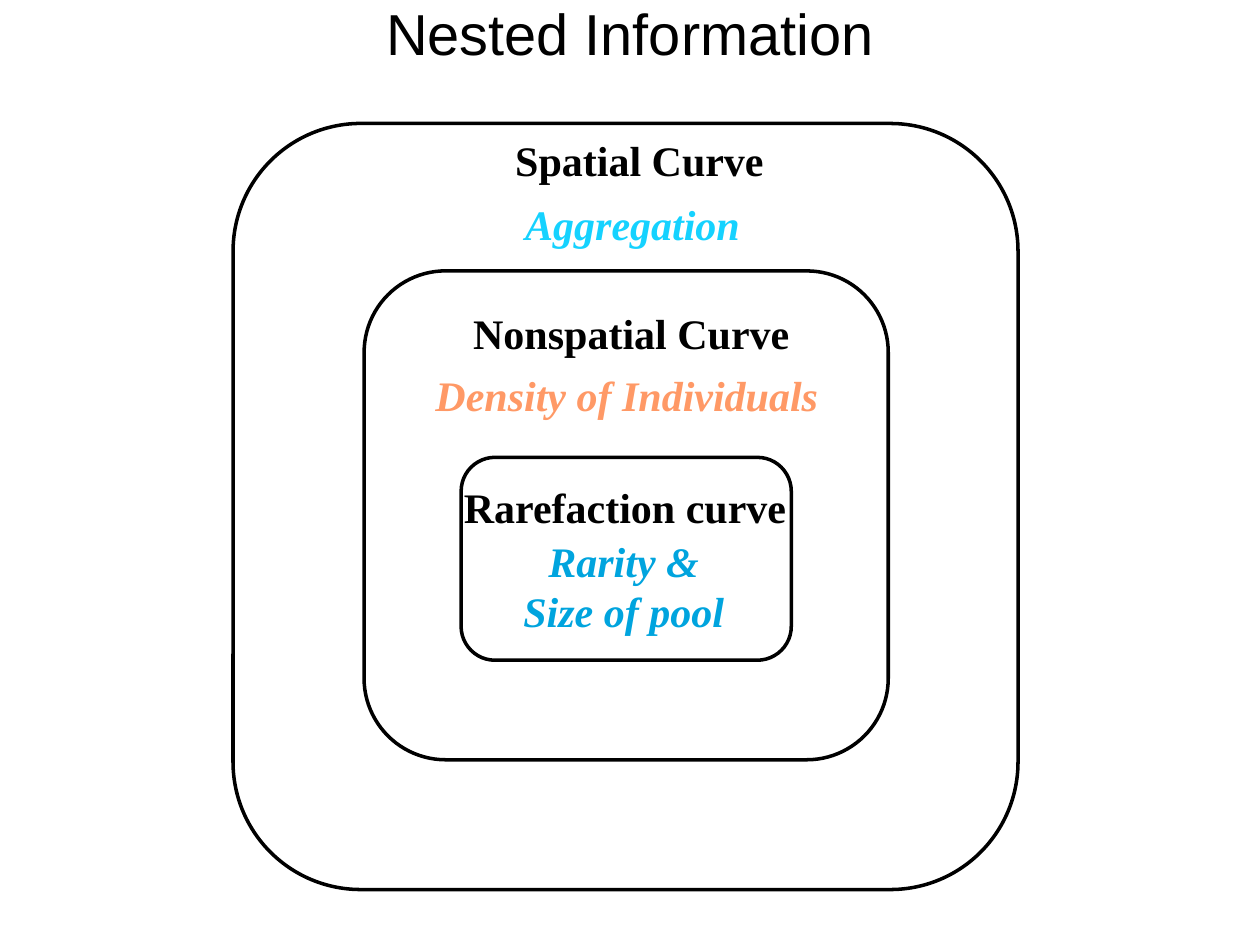
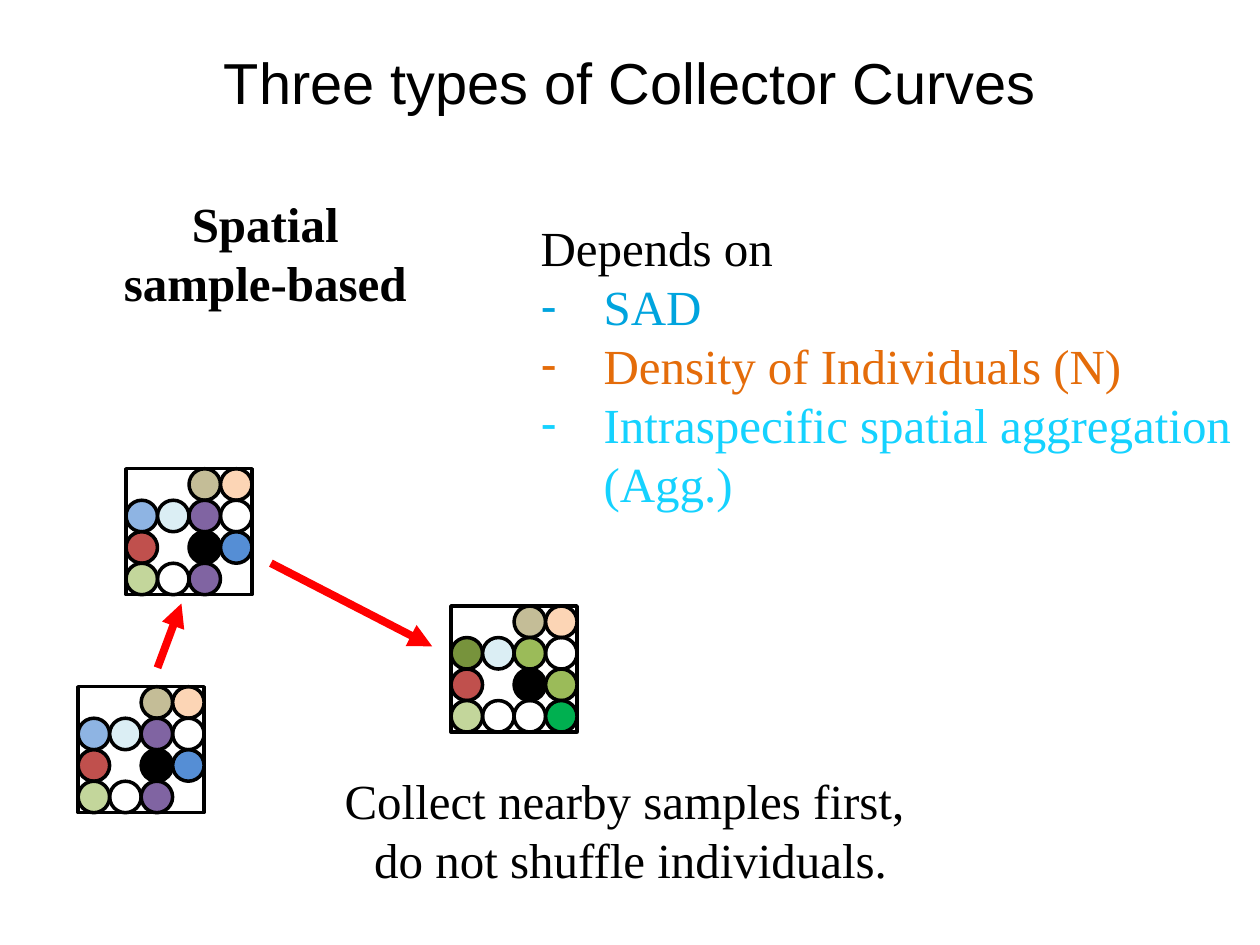
from dataclasses import dataclass

from lxml import etree
from pptx import Presentation
from pptx.dml.color import RGBColor
from pptx.enum.shapes import MSO_CONNECTOR, MSO_SHAPE
from pptx.enum.text import MSO_ANCHOR, MSO_AUTO_SIZE, PP_ALIGN
from pptx.oxml.ns import qn
from pptx.util import Inches, Pt

CENTER, LEFT = PP_ALIGN.CENTER, PP_ALIGN.LEFT
TOP, MIDDLE = MSO_ANCHOR.TOP, MSO_ANCHOR.MIDDLE
FIT_SHAPE, NO_FIT = MSO_AUTO_SIZE.SHAPE_TO_FIT_TEXT, MSO_AUTO_SIZE.NONE
ROUNDED, SQUARE, CIRCLE = MSO_SHAPE.ROUNDED_RECTANGLE, MSO_SHAPE.RECTANGLE, MSO_SHAPE.OVAL
STRAIGHT = MSO_CONNECTOR.STRAIGHT
TITLE_AND_CONTENT, TITLE_ONLY = 1, 5


@dataclass(frozen=True)
class Theme:
    title_font: str = "Arial"
    text_font: str = "Times New Roman"
    title_size: int = 33
    label_size: int = 24
    text_size: int = 28
    outline_width: float = 2
    arrow_width: float = 4.5
    ink: str = "000000"
    arrow: str = "FF0000"
    abundance: str = "00A4DE"
    density: str = "E46C0A"
    density_light: str = "FF9966"
    aggregation: str = "15D2FF"


THEME = Theme()

# Species colours in a sample plot; HOLLOW is an unfilled circle, None an empty cell
HOLLOW = "hollow"
TAN, PEACH, BLACK, RED = "C4BD97", "FCD5B5", "000000", "C0504D"
SKY, PALE, BLUE, PURPLE = "8EB4E3", "DBEEF4", "558ED5", "8064A2"
OLIVE, GREEN, LIME, EMERALD = "77933C", "9BBB59", "C3D69B", "00B050"

NEAR_PLOT = [
    [None, None, TAN, PEACH],
    [SKY, PALE, PURPLE, HOLLOW],
    [RED, None, BLACK, BLUE],
    [LIME, HOLLOW, PURPLE, None],
]
FAR_PLOT = [
    [None, None, TAN, PEACH],
    [OLIVE, PALE, GREEN, HOLLOW],
    [RED, None, BLACK, GREEN],
    [LIME, HOLLOW, HOLLOW, EMERALD],
]
CELL = 0.25


def place(shape, left, top, width, height):
    shape.left, shape.top = Inches(left), Inches(top)
    shape.width, shape.height = Inches(width), Inches(height)


def style_paragraph(paragraph, size, color=THEME.ink, font=THEME.text_font,
                    bold=False, italic=False, align=CENTER):
    paragraph.alignment = align
    paragraph.font.name = font
    paragraph.font.size = Pt(size)
    paragraph.font.bold = bold
    paragraph.font.italic = italic
    paragraph.font.color.rgb = RGBColor.from_string(color)


def add_titled_slide(presentation, layout, title, top):
    slide = presentation.slides.add_slide(presentation.slide_layouts[layout])
    shape = slide.shapes.title
    place(shape, 0.5, top, 9, 1.25)
    frame = shape.text_frame
    frame.text = title
    frame.vertical_anchor = MIDDLE
    style_paragraph(frame.paragraphs[0], THEME.title_size, font=THEME.title_font)
    return slide


def add_label(slide, text, left, top, width, height, size, **style):
    box = slide.shapes.add_textbox(*map(Inches, (left, top, width, height)))
    frame = box.text_frame
    frame.word_wrap = False
    frame.auto_size = FIT_SHAPE
    frame.text = text
    for paragraph in frame.paragraphs:
        style_paragraph(paragraph, size, **style)


def add_outline(slide, kind, left, top, width, height, fill=HOLLOW):
    shape = slide.shapes.add_shape(kind, *map(Inches, (left, top, width, height)))
    shape.shadow.inherit = False
    if fill == HOLLOW:
        shape.fill.background()
    else:
        shape.fill.solid()
        shape.fill.fore_color.rgb = RGBColor.from_string(fill)
    shape.line.color.rgb = RGBColor.from_string(THEME.ink)
    shape.line.width = Pt(THEME.outline_width)


def add_sample_plot(slide, left, top, rows):
    add_outline(slide, SQUARE, left, top, CELL * len(rows[0]), CELL * len(rows))
    for row, colors in enumerate(rows):
        for column, color in enumerate(colors):
            if color:
                add_outline(slide, CIRCLE, left + column * CELL, top + row * CELL,
                            CELL, CELL, color)


def add_arrow(slide, start, end):
    connector = slide.shapes.add_connector(STRAIGHT, *map(Inches, (*start, *end)))
    connector.line.color.rgb = RGBColor.from_string(THEME.arrow)
    connector.line.width = Pt(THEME.arrow_width)
    line = connector.line._get_or_add_ln()
    etree.SubElement(line, qn("a:tailEnd"), type="triangle")
    etree.SubElement(connector._element.spPr, qn("a:effectLst"))


def set_bullet(paragraph, mark=None):
    """Give the paragraph a hanging mark, or neither mark nor indent."""
    properties = paragraph._p.get_or_add_pPr()
    indent = Inches(0.5) if mark else 0
    properties.set("marL", str(indent))
    properties.set("indent", str(-indent))
    if mark:
        etree.SubElement(properties, qn("a:buFontTx"))
        etree.SubElement(properties, qn("a:buChar"), char=mark)
    else:
        etree.SubElement(properties, qn("a:buNone"))


def fill_dependency_list(slide, heading, items):
    body = slide.placeholders[1]
    place(body, 4.19, 1.68, 5.96, 2.46)
    frame = body.text_frame
    frame.auto_size = NO_FIT
    frame.vertical_anchor = TOP
    frame.text = "\n".join([heading] + [text for text, _ in items])
    colors = [THEME.ink] + [color for _, color in items]
    for index, (paragraph, color) in enumerate(zip(frame.paragraphs, colors)):
        paragraph.space_before = Pt(0)
        set_bullet(paragraph, "-" if index else None)
        style_paragraph(paragraph, THEME.text_size, color, align=LEFT)


def build_nested_information(presentation):
    slide = add_titled_slide(presentation, TITLE_ONLY, "Nested Information", -0.37)

    # Nested frames, outermost first
    for frame in [(1.85, 0.98, 6.23, 6.08), (2.89, 2.15, 4.16, 3.88),
                  (3.66, 3.63, 2.62, 1.61)]:
        add_outline(slide, ROUNDED, *frame)

    # Curve names
    for text, left, top, width in [("Spatial Curve", 3.98, 1.02, 2.19),
                                   ("Nonspatial Curve", 3.64, 2.39, 2.74),
                                   ("Rarefaction curve", 3.57, 3.77, 2.78)]:
        add_label(slide, text, left, top, width, 0.5, THEME.label_size, bold=True)

    # What each curve adds
    for text, left, top, width, height, color in [
        ("Aggregation", 4.06, 1.53, 1.92, 0.5, THEME.aggregation),
        ("Density of Individuals", 3.34, 2.88, 3.27, 0.5, THEME.density_light),
        ("Rarity &\nSize of pool", 2.45, 4.2, 5, 0.91, THEME.abundance),
    ]:
        add_label(slide, text, left, top, width, height, THEME.label_size,
                  color=color, bold=True, italic=True)


def build_collector_curves(presentation):
    slide = add_titled_slide(presentation, TITLE_AND_CONTENT,
                             "Three types of Collector Curves", 0.02)

    # Curve type and what it depends on
    add_label(slide, "Spatial\nsample-based", 0.87, 1.49, 2.47, 1.04,
              THEME.text_size, bold=True)
    fill_dependency_list(slide, "Depends on", [
        ("SAD", THEME.abundance),
        ("Density of Individuals (N)", THEME.density),
        ("Intraspecific spatial aggregation (Agg.)", THEME.aggregation),
    ])

    # Sample plots and the order of collecting
    add_sample_plot(slide, 1, 3.72, NEAR_PLOT)
    add_sample_plot(slide, 3.58, 4.81, FAR_PLOT)
    add_sample_plot(slide, 0.62, 5.45, NEAR_PLOT)
    add_arrow(slide, (1.25, 5.3), (1.44, 4.79))
    add_arrow(slide, (2.15, 4.47), (3.43, 5.13))

    # Sampling rule
    add_label(slide, "Collect nearby samples first, \ndo not shuffle individuals.",
              2.61, 6.07, 4.79, 1.04, THEME.text_size)


def main():
    presentation = Presentation()
    presentation.slide_width, presentation.slide_height = Inches(10), Inches(7.5)
    build_nested_information(presentation)
    build_collector_curves(presentation)
    presentation.save("out.pptx")


if __name__ == "__main__":
    main()
